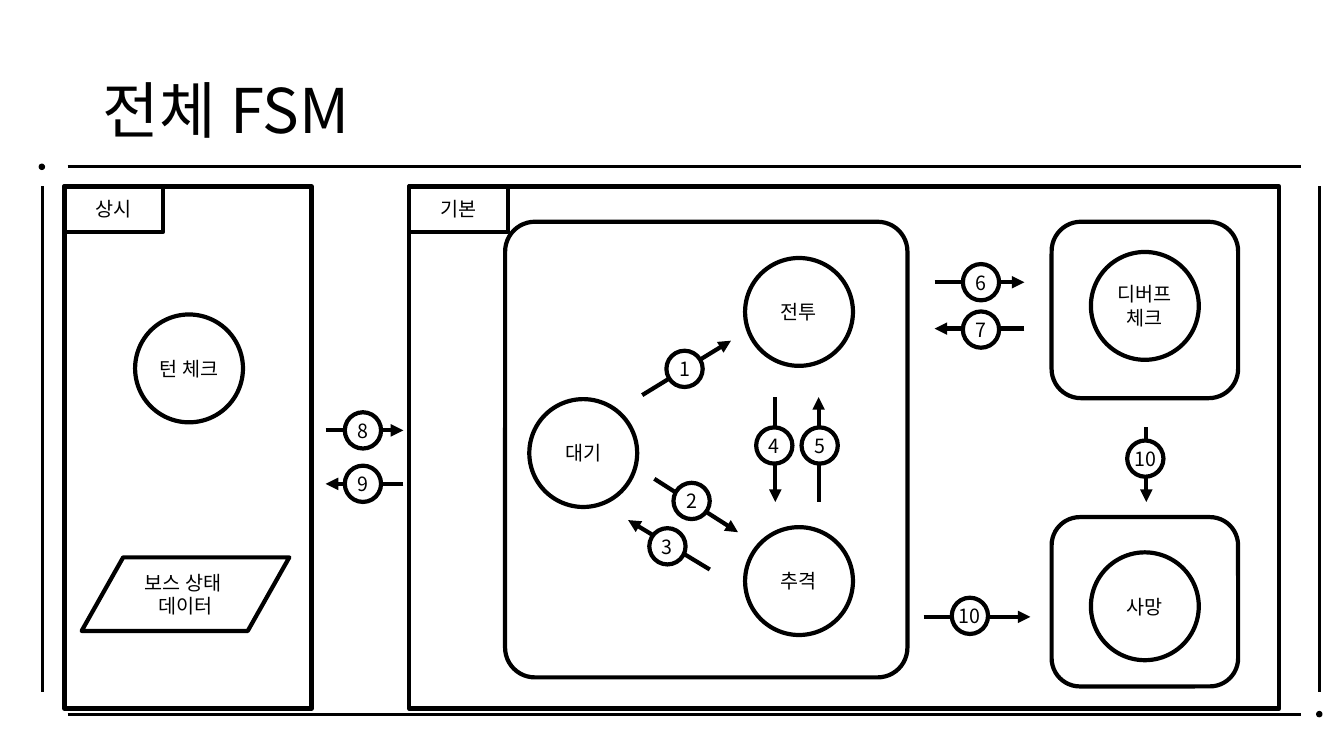
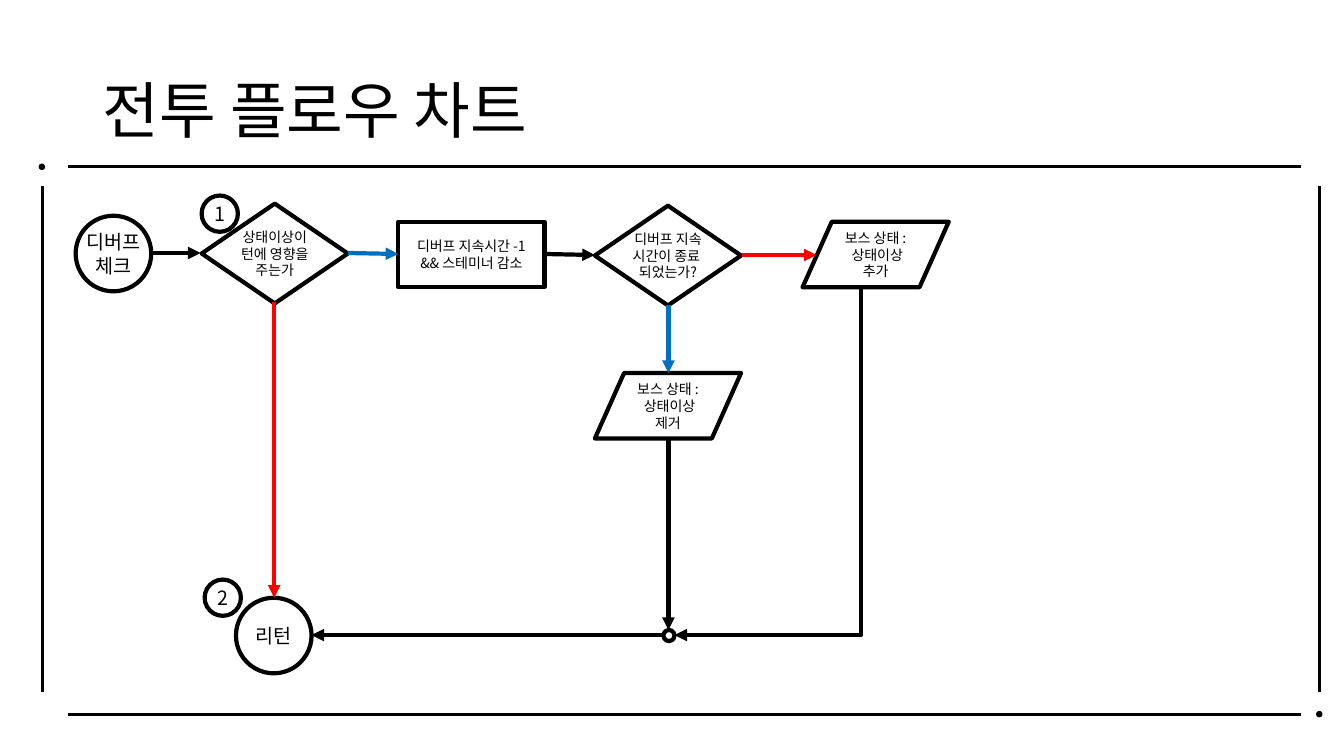
from pptx import Presentation
from pptx.dml.color import RGBColor
from pptx.enum import shapes, text
from pptx.oxml import ns
from pptx.util import Inches, Pt
from lxml import etree

BLACK = RGBColor(0, 0, 0)
WHITE = RGBColor(255, 255, 255)
RED = RGBColor(255, 0, 0)
BLUE = RGBColor(0, 0x70, 0xC0)
FONT = "Noto Sans CJK KR"

KIND = shapes.MSO_SHAPE
RECT, ROUND, OVAL = KIND.RECTANGLE, KIND.ROUNDED_RECTANGLE, KIND.OVAL
DATA, DECISION = KIND.FLOWCHART_DATA, KIND.FLOWCHART_DECISION

# Shared frame: lines as x1, y1, x2, y2; dots as left, top
FRAME_LINES = [(0.67, y, 12.9, y) for y in (1.65, 7.09)]
FRAME_LINES += [(x, 1.85, x, 6.87) for x in (0.42, 13.09)]
FRAME_DOTS = [(0.39, 1.63), (13.06, 7.06)]
TITLE_BOX = (0.92, 0.4, 11.5, 1.45)

STATE, STEP, BADGE = 1.07, 0.75, 0.36  # circle diameters
TAB = (0.98, 0.45)
CARD = (1.45, 0.65)
DIAMOND = (1.45, 0.99)

# Nodes: kind, left, top, width, height, text, point size
FSM_NODES = [
    (RECT, 0.64, 1.85, 2.45, 5.18, "", 14),
    (RECT, 4.06, 1.85, 8.63, 5.18, "", 14),
    (ROUND, 10.43, 5.13, 1.85, 1.68, "", 14),
    (ROUND, 10.43, 2.2, 1.85, 1.75, "", 14),
    (ROUND, 5.01, 2.2, 3.99, 4.52, "", 14),
    (RECT, 0.64, 1.85, *TAB, "상시", 14),
    (RECT, 4.06, 1.85, *TAB, "기본", 14),
    (OVAL, 1.34, 3.12, STATE, STATE, "턴 체크", 14),
    (OVAL, 5.25, 3.96, STATE, STATE, "대기", 14),
    (OVAL, 7.39, 2.56, STATE, STATE, "전투", 14),
    (OVAL, 7.39, 5.23, STATE, STATE, "추격", 14),
    (OVAL, 10.82, 2.5, STATE, STATE, "디버프\n체크", 14),
    (OVAL, 10.82, 5.48, STATE, STATE, "사망", 14),
    (DATA, 0.81, 5.53, 2.06, 0.73, "보스 상태 \n데이터", 14),
]
# Arrows: x1, y1, x2, y2, colour
FSM_ARROWS = [
    (6.37, 3.92, 7.25, 3.38, BLACK),
    (6.49, 4.75, 7.32, 5.28, BLACK),
    (7.04, 5.65, 6.23, 5.16, BLACK),
    (7.69, 3.94, 7.69, 4.98, BLACK),
    (8.12, 4.98, 8.12, 3.94, BLACK),
    (9.27, 2.8, 10.16, 2.8, BLACK),
    (10.16, 3.26, 9.27, 3.26, BLACK),
    (3.23, 4.27, 4, 4.27, BLACK),
    (4, 4.8, 3.23, 4.8, BLACK),
    (9.16, 6.12, 10.22, 6.12, BLACK),
    (11.37, 4.24, 11.37, 4.98, BLACK),
]
# Badges: left, top, number
FSM_BADGES = [
    (6.61, 3.48, "1"), (6.68, 4.79, "2"), (6.44, 5.24, "3"),
    (7.5, 4.24, "4"), (7.95, 4.24, "5"), (9.55, 2.62, "6"),
    (9.55, 3.09, "7"), (3.42, 4.09, "8"), (3.42, 4.62, "9"),
    (9.44, 5.93, "10"), (11.18, 4.37, "10"),
]

FLOW_NODES = [
    (OVAL, 0.75, 2.14, STEP, STEP, "디버프\n체크", 14),
    (DECISION, 2, 2.02, *DIAMOND, "상태이상이\n턴에 영향을\n주는가", 10),
    (RECT, 3.95, 2.2, *CARD, "디버프 지속시간 -1\n&& 스테미너 감소", 10),
    (DECISION, 5.9, 2.04, *DIAMOND, "디버프 지속\n시간이 종료 \n되었는가?", 10),
    (DATA, 7.96, 2.2, *CARD, "보스 상태 :\n 상태이상 추가", 10),
    (DATA, 5.9, 3.7, *CARD, "보스 상태 :\n 상태이상 제거", 10),
    (OVAL, 2.34, 5.93, STEP, STEP, "리턴", 14),
    (OVAL, 6.58, 6.25, 0.11, 0.11, "", 10),
]
FLOW_ARROWS = [
    (1.49, 2.51, 1.99, 2.51, BLACK),
    (2.72, 3, 2.72, 5.93, RED),
    (3.45, 2.51, 3.95, 2.52, BLUE),
    (5.4, 2.52, 5.9, 2.53, BLACK),
    (7.36, 2.53, 8.1, 2.53, RED),
    (6.63, 3.03, 6.63, 3.7, BLUE),
    (6.63, 4.35, 6.63, 6.25, BLACK),
    (6.58, 6.3, 3.09, 6.3, BLACK),
]
FLOW_BADGES = [(2, 1.94, "1"), (2.03, 5.75, "2")]
FLOW_RETURN = (8.54, 2.85, 6.69, 6.3)

SLIDES = [
    ("전체 FSM", FSM_NODES, FSM_ARROWS, FSM_BADGES),
    ("전투 플로우 차트", FLOW_NODES, FLOW_ARROWS, FLOW_BADGES),
]


def style_text(tf, size, align):
    """Format every paragraph and run of a text frame."""
    tf.vertical_anchor = text.MSO_ANCHOR.MIDDLE
    for p in tf.paragraphs:
        p.alignment = align
        for r in p.runs:
            r.font.name, r.font.size = FONT, Pt(size)
            r.font.color.rgb = BLACK
            ea = etree.SubElement(r.font._element, ns.qn("a:ea"))
            ea.set("typeface", FONT)


def add_node(s, kind, x, y, w, h, label="", size=14, fill=WHITE, weight=3):
    """Add an outlined shape with an optional centred label."""
    sp = s.shapes.add_shape(kind, *map(Inches, (x, y, w, h)))
    sp.shadow.inherit = False
    sp.fill.solid()
    sp.fill.fore_color.rgb = fill
    sp.line.color.rgb = BLACK
    sp.line.width = Pt(weight)
    if kind == ROUND and w > 3:
        sp.adjustments[0] = 0.074
    if label:
        tf = sp.text_frame
        tf.text = label
        tf.word_wrap = kind == DATA
        if kind != DATA:
            tf.margin_left = tf.margin_right = 0
            tf.margin_top = tf.margin_bottom = 0
        style_text(tf, size, text.PP_ALIGN.CENTER)
    return sp


def add_line(s, x1, y1, x2, y2, color=BLACK, weight=3, arrow=True,
             kind=shapes.MSO_CONNECTOR.STRAIGHT):
    """Add a connector, with an arrowhead at its end if wanted."""
    c = s.shapes.add_connector(kind, *map(Inches, (x1, y1, x2, y2)))
    c.line.color.rgb = color
    c.line.width = Pt(weight)
    props = c.element.spPr
    if arrow:
        tail = etree.SubElement(props.find(ns.qn("a:ln")), ns.qn("a:tailEnd"))
        tail.set("type", "triangle")
    etree.SubElement(props, ns.qn("a:effectLst"))
    return c


def add_corner_arrow(s, x1, y1, x2, y2):
    """Add an arrow that runs down and then left, as a turned elbow."""
    cx, cy = (x1 + x2) / 2, (y1 + y2) / 2
    half_w, half_h = (y2 - y1) / 2, (x1 - x2) / 2
    c = add_line(s, cx - half_w, cy - half_h, cx + half_w, cy + half_h,
                 kind=shapes.MSO_CONNECTOR.ELBOW)
    props = c.element.spPr
    props.find(ns.qn("a:prstGeom")).set("prst", "bentConnector2")
    props.find(ns.qn("a:xfrm")).set("rot", str(90 * 60000))


def add_frame(s, layout):
    """Draw the frame and move it to the layout, for all slides."""
    parts = [add_line(s, *ends, weight=2.25, arrow=False)
             for ends in FRAME_LINES]
    parts += [add_node(s, OVAL, x, y, 0.05, 0.05, fill=BLACK, weight=1)
              for x, y in FRAME_DOTS]
    for part in parts:
        layout.shapes.element.append(part.element)


def add_title(s, title):
    """Fill, place and format the title placeholder."""
    sp = s.shapes.title
    sp.left, sp.top, sp.width, sp.height = map(Inches, TITLE_BOX)
    tf = sp.text_frame
    tf.text = title
    tf.auto_size = text.MSO_AUTO_SIZE.NONE
    tf.paragraphs[0].line_spacing = 0.9
    style_text(tf, 44, text.PP_ALIGN.LEFT)


prs = Presentation()
prs.slide_width, prs.slide_height = Inches(13.33), Inches(7.5)
layout = prs.slide_layouts[5]

for title, nodes, arrows, badges in SLIDES:
    s = prs.slides.add_slide(layout)
    add_title(s, title)
    for node in nodes:
        add_node(s, *node)
    for arrow in arrows:
        add_line(s, *arrow)
    for x, y, number in badges:
        add_node(s, OVAL, x, y, BADGE, BADGE, number)

add_corner_arrow(s, *FLOW_RETURN)
add_frame(s, layout)
prs.save("out.pptx")
